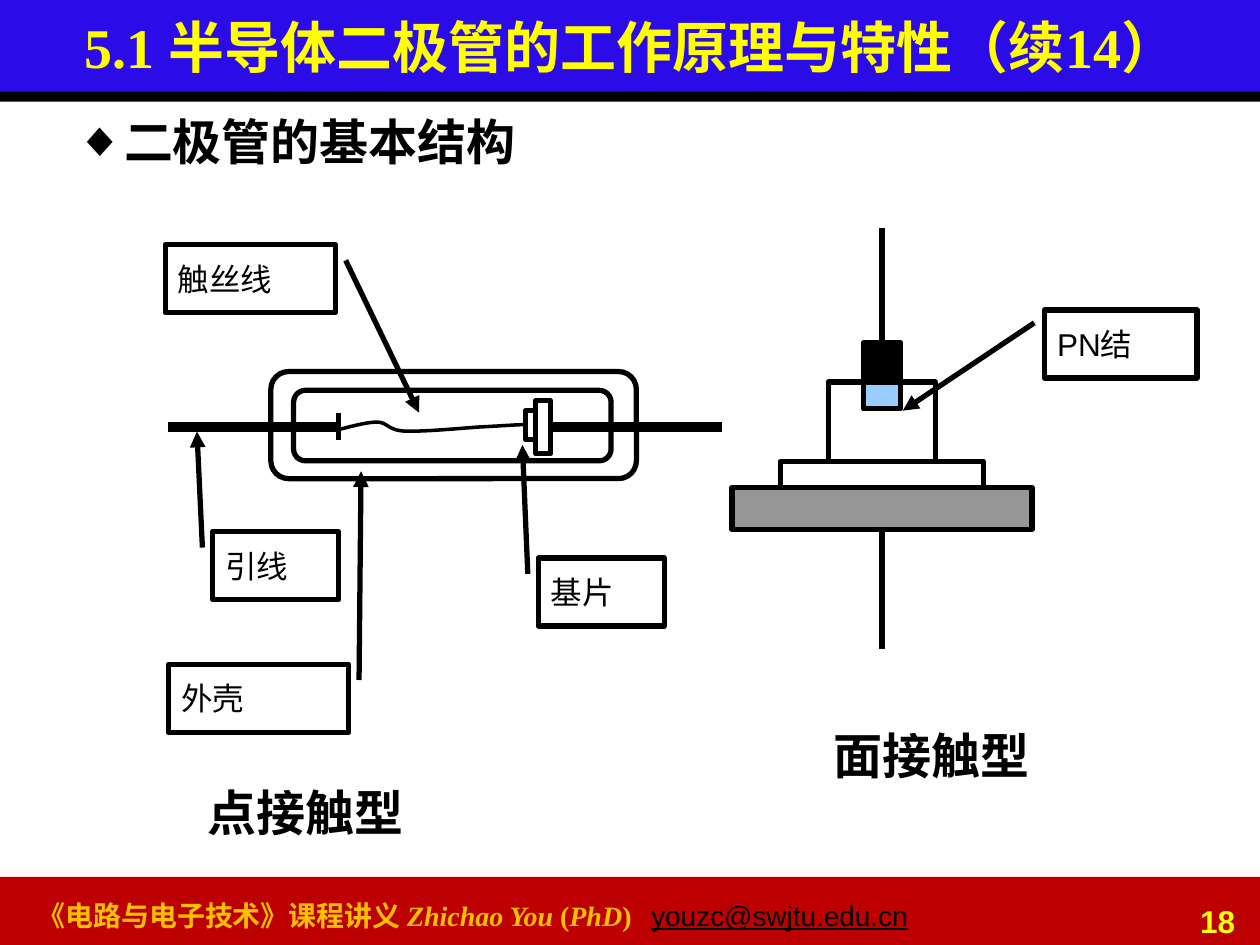
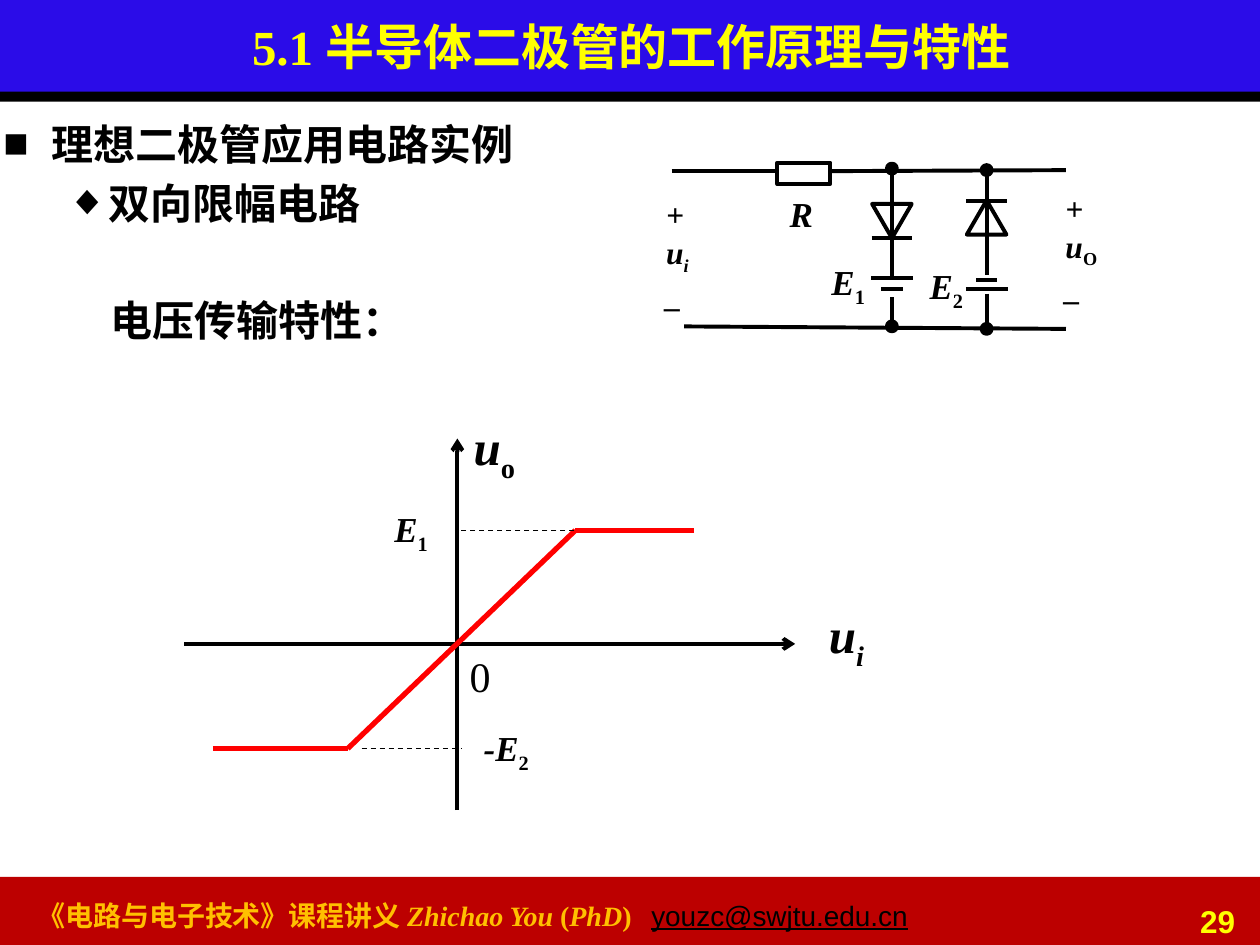
import pptx
import pptx.util
import pptx.dml.color
import pptx.enum.dml
import pptx.enum.shapes
import pptx.enum.text
import pptx.oxml.ns
from lxml import etree

Cm, Pt = pptx.util.Cm, pptx.util.Pt
qn = pptx.oxml.ns.qn
SHAPE = pptx.enum.shapes.MSO_SHAPE
ANCHOR = pptx.enum.text.MSO_ANCHOR
ALIGN = pptx.enum.text.PP_ALIGN

# Shared look
BLACK, WHITE, RED, YELLOW, GOLD = "000000", "FFFFFF", "FF0000", "FFFF00", "FFC000"
SERIF, SANS = "Times New Roman", "Arial"
SUB = {"sub": True}
SUB_UPRIGHT = {"sub": True, "italic": False}
BANDS = [  # top, height, fill
    (0, 1.93, "2B0CE8"),
    (1.85, 0.2, BLACK),
    (17.68, 1.37, "BC0000"),
]
FOOTER = [
    ("《电路与电子技术》课程讲义 ", {}),
    ("Zhichao You ", {"italic": True}),
    ("(", {}),
    ("PhD", {"italic": True}),
    (")\t", {}),
    ("youzc@swjtu.edu.cn",
     {"font": SANS, "color": BLACK, "bold": False, "underline": True}),
]
EMAIL_TAB = 12.37

# Slide 18: diode structures. Boxes are left, top, width, height in cm.
STRUCTURE_TITLE = "5.1 半导体二极管的工作原理与特性（续14）"
CALLOUTS = [  # text, box, pointer start, pointer tip
    ("引线", (4.29, 10.72, 2.54, 1.37), (4.08, 11.04), (3.97, 8.7)),
    ("外壳", (3.4, 13.39, 3.63, 1.37), (7.24, 13.71), (7.28, 9.5)),
    ("触丝线", (3.33, 4.93, 3.43, 1.37), (6.97, 5.25), (8.45, 8.32)),
    ("基片", (10.85, 11.25, 2.54, 1.37), (10.64, 11.57), (10.53, 8.97)),
    ("PN结", (21.06, 6.25, 3.07, 1.37), (20.85, 6.51), (18.2, 8.28)),
]
CAPTIONS = [
    ("点接触型", (3.94, 15.65, 5.28, 1.45)),
    ("面接触型", (16.56, 14.5, 5.28, 1.45)),
]
SHELLS = [(5.46, 7.49, 7.37, 2.16), (5.92, 7.87, 6.4, 1.42)]
CHIP_PARTS = [(10.8, 8.08, 0.3, 1.07), (10.59, 8.28, 0.2, 0.58)]
POINT_LEADS = [((3.38, 8.61), (6.83, 8.61)), ((11.13, 8.61), (14.55, 8.61))]
WHISKER_END = ((6.83, 8.33), (6.83, 8.86))
WHISKER_START = (6.83, 8.66)
WHISKER_CURVES = [  # two control points, end point
    ((7.11, 8.59), (7.39, 8.51), (7.59, 8.51)),
    ((7.82, 8.51), (7.8, 8.66), (8.13, 8.69)),
    ((8.48, 8.71), (9.22, 8.64), (9.63, 8.61)),
    ((10.03, 8.59), (10.44, 8.56), (10.59, 8.56)),
]
JUNCTION_X = 17.78
JUNCTION_LEADS = [(4.6, 6.91), (10.67, 13.08)]
JUNCTION_LAYERS = [  # width, top, height, fill
    (6.05, 9.83, 0.84, "969696"),
    (4.09, 9.3, 0.53, None),
    (2.16, 7.7, 1.6, None),
    (0.74, 6.91, 1.32, BLACK),
    (0.74, 7.7, 0.53, "99CCFF"),
]

# Slide 29: two-way limiter and its transfer curve
LIMITER_TITLE = "5.1 半导体二极管的工作原理与特性"
RESISTOR = (15.67, 3.28, 1.07, 0.43)
RAILS = [
    ((13.54, 3.45), (15.67, 3.45)),
    ((16.71, 3.45), (21.49, 3.43)),
    ((13.79, 6.58), (21.49, 6.63)),
]
BRANCHES = [
    dict(x=17.98, diode=4.11, turn=180, bar=4.8, long_plate=5.61, short_plate=5.82,
         wires=[(3.45, 5.61), (5.99, 6.63)], nodes=[3.4, 6.58]),
    dict(x=19.89, diode=4.04, turn=0, bar=4.06, long_plate=5.82, short_plate=5.64,
         wires=[(3.38, 5.54), (5.92, 6.55)], nodes=[3.43, 6.63]),
]
LABELS = [  # paragraphs, size, box
    (["+", [("u", {}), ("i", SUB)], "_"], 18, (13.18, 3.81, 1.14, 2.57)),
    (["+", [("u", {}), ("O", SUB_UPRIGHT)], "_"], 18, (21.23, 3.68, 1.27, 2.57)),
    (["R"], 20, (15.67, 3.76, 0.99, 1.09)),
    ([[("E", {}), ("1", SUB_UPRIGHT)]], 20, (16.51, 5.13, 2.13, 1.12)),
    ([[("E", {}), ("2", SUB_UPRIGHT)]], 20, (18.49, 5.21, 2.13, 1.12)),
    ([[("u", {}), ("i", SUB)]], 28, (16.46, 12.07, 2.64, 1.45)),
    ([[("u", {}), ("o", SUB_UPRIGHT)]], 28, (9.3, 8.28, 2.64, 1.45)),
    ([[("-E", {}), ("2", SUB_UPRIGHT)]], 20, (9.5, 14.53, 2.64, 1.12)),
    ([[("E", {}), ("1", SUB_UPRIGHT)]], 20, (7.7, 10.11, 2.64, 1.12)),
]
AXES = [((3.71, 12.98), (16.03, 12.98)), ((9.22, 16.33), (9.22, 8.84))]
TRANSFER_CURVE = [(4.29, 15.09), (7.01, 15.09), (11.6, 10.69), (14, 10.69)]
GUIDES = [((11.58, 10.69), (9.22, 10.69)), ((7.29, 15.09), (9.32, 15.09))]


def rgb(color):
    return pptx.dml.color.RGBColor.from_string(color)


def cm(values):
    return [Cm(v) for v in values]


def write(tf, paragraphs, size=18, font=SERIF, color=BLACK, bold=False, italic=False,
          align=None, anchor=ANCHOR.TOP, bullets=(), gap=0, spacing=None, tab=None):
    """Fill tf; a paragraph is a string or a list of (text, format changes) runs."""
    tf.word_wrap = True
    tf.vertical_anchor = anchor
    for i, runs in enumerate(paragraphs):
        p = tf.paragraphs[0] if i == 0 else tf.add_paragraph()
        pPr = p._p.get_or_add_pPr()
        if align is not None:
            p.alignment = align
        if spacing:
            p.line_spacing = spacing
        if i and gap:
            p.space_before = Pt(gap)
        if bullets:
            mark, margin, hang = bullets[i]
            pPr.set("marL", str(Cm(margin)))
            pPr.set("indent", str(-Cm(hang)))
            etree.SubElement(pPr, qn("a:buFont"), typeface=SANS)
            etree.SubElement(pPr, qn("a:buChar"), char=mark)
        if tab:
            tabs = etree.SubElement(pPr, qn("a:tabLst"))
            etree.SubElement(tabs, qn("a:tab"), pos=str(Cm(tab)), algn="l")
        for text, changes in [(runs, {})] if isinstance(runs, str) else runs:
            r = p.add_run()
            r.text = text
            r.font.size = Pt(size)
            r.font.name = changes.get("font", font)
            r.font.bold = changes.get("bold", bold)
            r.font.italic = changes.get("italic", italic)
            r.font.underline = changes.get("underline", False)
            r.font.color.rgb = rgb(changes.get("color", color))
            if changes.get("sub"):
                r._r.get_or_add_rPr().set("baseline", "-25000")


def add_text(slide, paragraphs, box, **fmt):
    tb = slide.shapes.add_textbox(*cm(box))
    write(tb.text_frame, paragraphs, **fmt)
    return tb


def style(sp, fill=None, width=None):
    sp.shadow.inherit = False
    if fill:
        sp.fill.solid()
        sp.fill.fore_color.rgb = rgb(fill)
    else:
        sp.fill.background()
    if width:
        sp.line.color.rgb = rgb(BLACK)
        sp.line.width = Pt(width)
    else:
        sp.line.fill.background()
    return sp


def add_shape(slide, kind, box, fill=None, width=None):
    return style(slide.shapes.add_shape(kind, *cm(box)), fill, width)


def add_arrowhead(sp, kind):
    etree.SubElement(sp._element.spPr.find(qn("a:ln")), qn("a:tailEnd"), type=kind)


def add_line(slide, start, end, width=2.25, color=BLACK, dashed=False, head=None):
    ln = slide.shapes.add_connector(
        pptx.enum.shapes.MSO_CONNECTOR.STRAIGHT, *cm(start + end))
    ln.line.color.rgb = rgb(color)
    ln.line.width = Pt(width)
    if dashed:
        ln.line.dash_style = pptx.enum.dml.MSO_LINE.DASH
    if head:
        add_arrowhead(ln, head)
    etree.SubElement(ln._element.spPr, qn("a:effectLst"))


def add_callout(slide, text, box, start, tip):
    sp = add_shape(slide, SHAPE.LINE_CALLOUT_1, box, width=3)
    left, top, w, h = box
    for i, (x, y) in enumerate((start, tip)):
        sp.adjustments[2 * i] = (y - top) / h
        sp.adjustments[2 * i + 1] = (x - left) / w
    add_arrowhead(sp, "triangle")
    write(sp.text_frame, [text], font=SANS, align=ALIGN.LEFT, anchor=ANCHOR.MIDDLE)


def bezier_points(start, curves, steps=12):
    points = [start]
    for c1, c2, end in curves:
        for t in (k / steps for k in range(1, steps + 1)):
            points.append(tuple(
                (1 - t) ** 3 * a + 3 * (1 - t) ** 2 * t * b
                + 3 * (1 - t) * t ** 2 * c + t ** 3 * d
                for a, b, c, d in zip(start, c1, c2, end)))
        start = end
    return points


def add_whisker(slide):
    points = [cm(pt) for pt in bezier_points(WHISKER_START, WHISKER_CURVES)]
    fb = slide.shapes.build_freeform(*points[0])
    fb.add_line_segments(points[1:], close=False)
    style(fb.convert_to_shape(), width=2)


def add_branch(slide, x, diode, turn, bar, long_plate, short_plate, wires, nodes):
    """Draw a diode in series with a cell, centred on x, between two nodes."""
    sp = add_shape(slide, SHAPE.ISOSCELES_TRIANGLE, (x - 0.4, diode, 0.8, 0.69), width=2.25)
    sp.rotation = turn
    for y, length in ((bar, 0.82), (long_plate, 0.84), (short_plate, 0.43)):
        add_line(slide, (x - length / 2, y), (x + length / 2, y))
    for top, bottom in wires:
        add_line(slide, (x, top), (x, bottom))
    for y in nodes:
        add_shape(slide, SHAPE.OVAL, (x - 0.1, y - 0.1, 0.2, 0.2), BLACK, 2.25)


def new_slide(prs, title, title_size, number):
    slide = prs.slides.add_slide(prs.slide_layouts[5])
    for top, height, fill in BANDS:
        add_shape(slide, SHAPE.RECTANGLE, (0, top, 25.4, height), fill)
    tt = slide.shapes.title
    tt.left, tt.top, tt.width, tt.height = cm((0, 0, 25.45, 1.85))
    write(tt.text_frame, [title], size=title_size, color=YELLOW, bold=True,
          align=ALIGN.CENTER, anchor=ANCHOR.MIDDLE)
    # Bring the title in front of the bands
    slide.shapes._spTree.append(tt._element)
    add_text(slide, [FOOTER], (0.51, 17.98, 22.4, 0.94), size=16, color=GOLD,
             bold=True, tab=EMAIL_TAB)
    add_text(slide, [str(number)], (22.76, 18.06, 2.39, 0.79), font=SANS,
             color=YELLOW, bold=True, align=ALIGN.RIGHT)
    return slide


def build_structures(prs):
    s = new_slide(prs, STRUCTURE_TITLE, 32, 18)
    add_text(s, ["二极管的基本结构"], (0, 2.13, 24.69, 1.5), size=28, bold=True,
             bullets=[("◆", 2.06, 0.79)])
    for box in SHELLS:
        add_shape(s, SHAPE.ROUNDED_RECTANGLE, box, width=3)
    for start, end in POINT_LEADS:
        add_line(s, start, end, width=6)
    add_line(s, *WHISKER_END, width=3)
    add_whisker(s)
    for box in CHIP_PARTS:
        add_shape(s, SHAPE.RECTANGLE, box, width=3)
    for top, bottom in JUNCTION_LEADS:
        add_line(s, (JUNCTION_X, top), (JUNCTION_X, bottom), width=3)
    for w, top, h, fill in JUNCTION_LAYERS:
        add_shape(s, SHAPE.RECTANGLE, (JUNCTION_X - w / 2, top, w, h), fill, 3)
    for callout in CALLOUTS:
        add_callout(s, *callout)
    for text, box in CAPTIONS:
        add_text(s, [text], box, size=28, font=SANS, bold=True, anchor=ANCHOR.MIDDLE)


def build_limiter(prs):
    s = new_slide(prs, LIMITER_TITLE, 28, 29)
    add_text(s, ["理想二极管应用电路实例", "双向限幅电路"], (-0.18, 2.26, 23.75, 2.51),
             size=24, bold=True, gap=4.8,
             bullets=[("■", 0.97, 0.97), ("◆", 2.06, 0.79)])
    add_text(s, ["电压传输特性："], (1.98, 5.51, 6.53, 1.6), size=24, bold=True,
             spacing=1.3)
    add_shape(s, SHAPE.RECTANGLE, RESISTOR, width=2.25)
    for start, end in RAILS:
        add_line(s, start, end)
    for branch in BRANCHES:
        add_branch(s, **branch)
    for start, end in AXES:
        add_line(s, start, end, head="arrow")
    for start, end in zip(TRANSFER_CURVE, TRANSFER_CURVE[1:]):
        add_line(s, start, end, width=3, color=RED)
    for start, end in GUIDES:
        add_line(s, start, end, width=0.75, dashed=True)
    for paragraphs, size, box in LABELS:
        add_text(s, paragraphs, box, size=size, bold=True, italic=True)
    add_text(s, ["0"], (9.22, 12.98, 1.65, 1.3), size=24)


def main():
    prs = pptx.Presentation()
    prs.slide_width, prs.slide_height = Cm(25.4), Cm(19.05)
    build_structures(prs)
    build_limiter(prs)
    prs.save("out.pptx")


if __name__ == "__main__":
    main()
